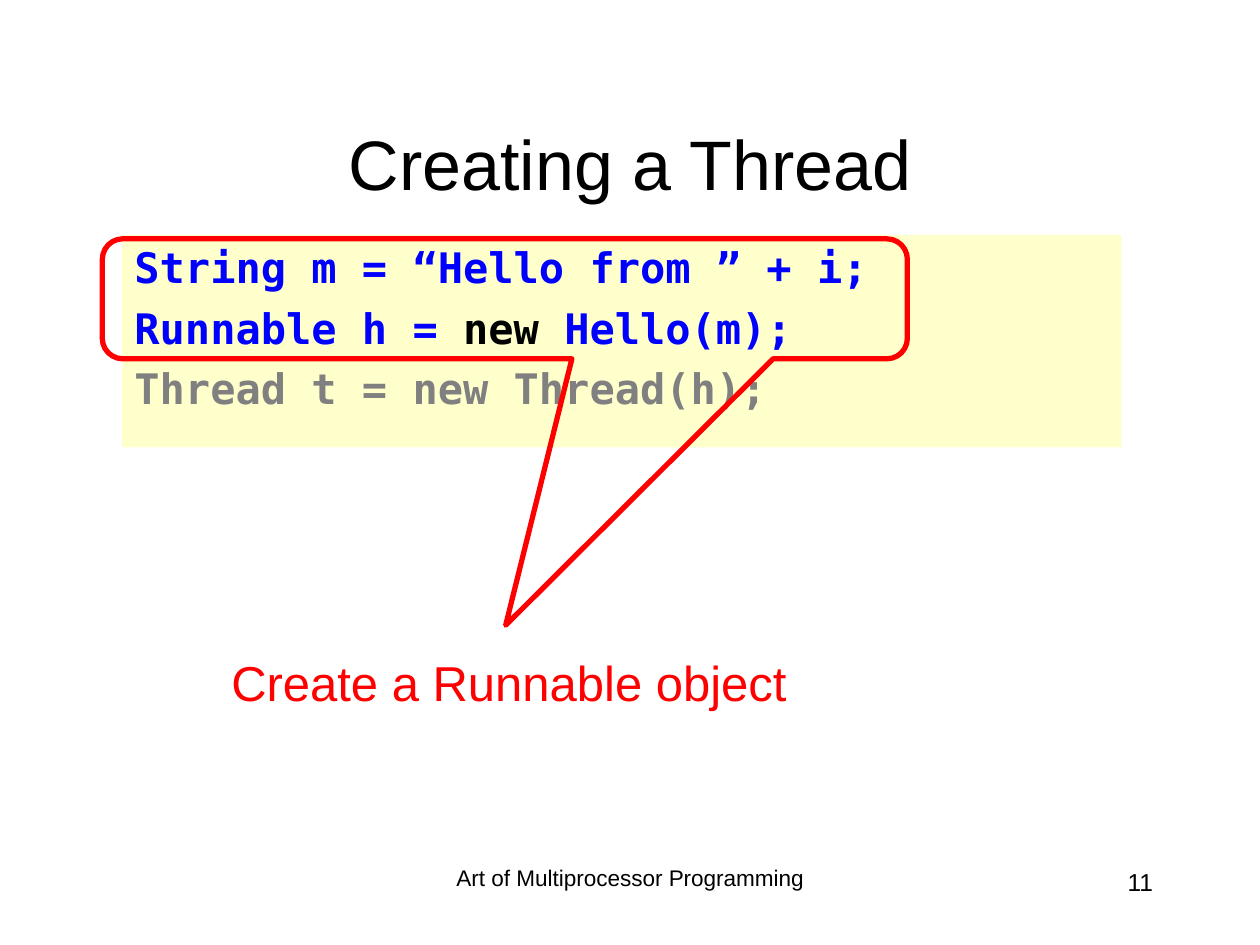
import pptx
import pptx.util
import pptx.dml.color
import pptx.enum.shapes
import pptx.enum.text

Pt = pptx.util.Pt
ALIGN = pptx.enum.text.PP_ALIGN
ANCHOR = pptx.enum.text.MSO_ANCHOR
SHAPE = pptx.enum.shapes.MSO_SHAPE

COLORS = {
    "black": "000000",
    "blue": "0000FF",
    "gray": "808080",
    "red": "FF0000",
    "cream": "FFFFCC",
}
SANS = "Arial"
MONO = "DejaVu Sans Mono"
CODE = [
    [("String m = “Hello from ” + i;", "blue")],
    [("Runnable h = ", "blue"), ("new", "black"), (" Hello(m);", "blue")],
    [("Thread t = new Thread(h);", "gray")],
]


def color(name):
    return pptx.dml.color.RGBColor.from_string(COLORS[name])


def style(font, size, name, tint=None):
    font.size = Pt(size)
    font.name = name
    if tint:
        font.color.rgb = color(tint)


def place(shape, box):
    shape.left, shape.top, shape.width, shape.height = map(Pt, box)


def add_title(slide, box, text):
    title = slide.shapes.title
    place(title, box)
    frame = title.text_frame
    frame.text = text
    frame.vertical_anchor = ANCHOR.MIDDLE
    para = frame.paragraphs[0]
    para.alignment = ALIGN.CENTER
    style(para.font, 40, SANS, "black")


def add_label(slide, box, text, size, tint="black", align=ALIGN.CENTER):
    label = slide.shapes.add_textbox(*map(Pt, box))
    frame = label.text_frame
    frame.word_wrap = True
    frame.text = text
    para = frame.paragraphs[0]
    para.alignment = align
    style(para.font, size, SANS, tint)
    return para


def add_code(slide, box, lines):
    """Draw a filled panel of code, each line a list of coloured parts."""
    panel = slide.shapes.add_shape(SHAPE.RECTANGLE, *map(Pt, box))
    panel.shadow.inherit = False
    panel.fill.solid()
    panel.fill.fore_color.rgb = color("cream")
    panel.line.fill.background()
    frame = panel.text_frame
    frame.word_wrap = True
    frame.vertical_anchor = ANCHOR.TOP
    for i, parts in enumerate(lines):
        para = frame.add_paragraph() if i else frame.paragraphs[0]
        para.alignment = ALIGN.LEFT
        para.space_before = Pt(6 if i else 0)
        style(para.font, 24, MONO)
        para.font.bold = True
        for text, tint in parts:
            run = para.add_run()
            run.text = text
            run.font.color.rgb = color(tint)


def add_callout(slide, box, tip):
    """Outline a box; tip is the pointer's offset from its centre."""
    callout = slide.shapes.add_shape(
        SHAPE.ROUNDED_RECTANGULAR_CALLOUT, *map(Pt, box))
    callout.shadow.inherit = False
    callout.fill.background()
    callout.line.color.rgb = color("red")
    callout.line.width = Pt(3)
    callout.adjustments[0] = tip[0] / box[2]
    callout.adjustments[1] = tip[1] / box[3]
    callout.adjustments[2] = 0.17


def add_footer(slide, top, text, number):
    para = add_label(slide, (246, top, 228, 36), text, 12.9)
    para.line_spacing = 0.9
    add_label(slide, (516, top, 150, 36), number, 14, align=ALIGN.RIGHT)


def main():
    deck = pptx.Presentation()
    deck.slide_width, deck.slide_height = Pt(720), Pt(540)
    slide = deck.slides.add_slide(deck.slide_layouts[5])
    add_footer(slide, 492, "Art of Multiprocessor Programming", "11")
    add_title(slide, (54, 48, 612, 90), "Creating a Thread")
    add_code(slide, (69.75, 134.25, 571, 121.5), CODE)
    add_callout(slide, (58.5, 136.5, 460, 68.5), (0.5, 186.5))
    add_label(slide, (111.5, 369.5, 358.5, 41),
              "Create a Runnable object", 28, "red")
    deck.save("out.pptx")


if __name__ == "__main__":
    main()
